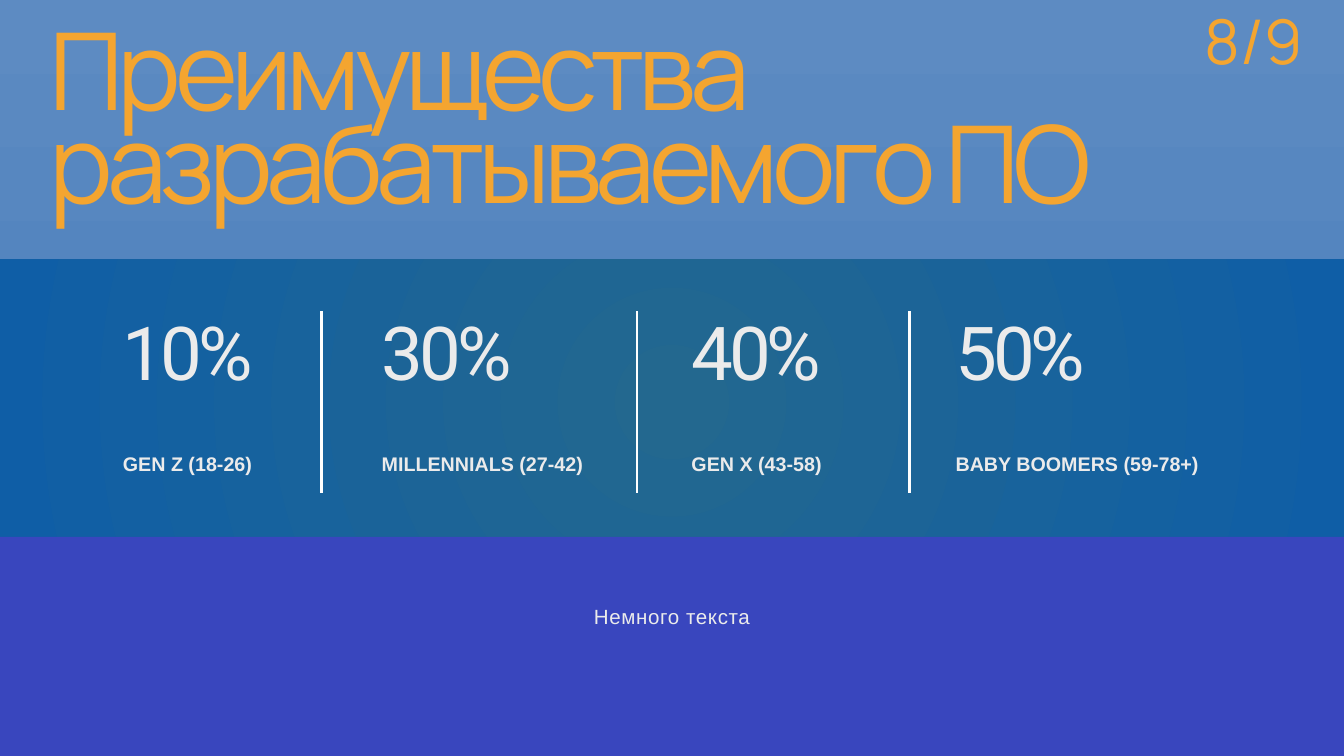
"""Build a slide of software benefits with four generation shares."""
from dataclasses import dataclass

import lxml.etree
import pptx
import pptx.dml.color
import pptx.enum.shapes
import pptx.enum.text
import pptx.oxml.ns
import pptx.util

PX = 9144
ALIGN = pptx.enum.text.PP_ALIGN
ORANGE, PALE, WHITE = "F4A530", "EBEBEB", "FFFFFF"
qn = pptx.oxml.ns.qn


@dataclass
class Style:
    """Look of one kind of text."""
    font: str
    size: float
    hue: str
    pitch: float | None = None
    gap: float = 0
    bold: bool = False
    align: ALIGN = ALIGN.LEFT


@dataclass
class Share:
    """Share of one generation, with the widths of its two texts."""
    left: int
    value: str
    label: str
    value_wide: int
    label_wide: int


TITLE = Style("Manrope", 115, ORANGE, 100.6, -6.5)
VALUE = Style("Roboto", 79.7, PALE, 67.7, -4.4)
LABEL = Style("Arial", 21.1, PALE, 27.5, bold=True)
NOTE = Style("Arial", 22, PALE, 33, 0.7, align=ALIGN.CENTER)
PAGE = Style("Manrope", 66, ORANGE, align=ALIGN.RIGHT)

SHARES = [
    Share(183, "10%", "GEN Z (18-26)", 281, 247),
    Share(568, "30%", "MILLENNIALS (27-42)", 299, 323),
    Share(1029, "40%", "GEN X (43-58)", 286, 254),
    Share(1422, "50%", "BABY BOOMERS (59-78+)", 294, 434),
]
RULES = [479, 948, 1353]


def px(*nums: int) -> list[pptx.util.Emu]:
    """Turn px into EMU."""
    return [pptx.util.Emu(num * PX) for num in nums]


def color(code: str) -> pptx.dml.color.RGBColor:
    """Turn a hex string into a colour."""
    return pptx.dml.color.RGBColor.from_string(code)


def blend(fill, root, stops: list[tuple[int, str]], round_: bool = False) -> None:
    """Give a fill a downward or a round gradient."""
    fill.gradient()
    grad = root.find(".//" + qn("a:gradFill"))
    for part in list(grad):
        grad.remove(part)
    row = lxml.etree.SubElement(grad, qn("a:gsLst"))
    for place, code in stops:
        stop = lxml.etree.SubElement(row, qn("a:gs"), pos=str(place * 1000))
        lxml.etree.SubElement(stop, qn("a:srgbClr"), val=code)
    if round_:
        way = lxml.etree.SubElement(grad, qn("a:path"))
        way.set("path", "circle")
        sides = dict.fromkeys("ltrb", "50000")
        lxml.etree.SubElement(way, qn("a:fillToRect"), sides)
    else:
        lxml.etree.SubElement(grad, qn("a:lin"), ang="5400000", scaled="0")


def add_band(slide, top: int, high: int):
    """Draw a band across the whole slide."""
    kind = pptx.enum.shapes.MSO_SHAPE.RECTANGLE
    band = slide.shapes.add_shape(kind, *px(0, top, 2000, high))
    band.shadow.inherit = False
    band.line.fill.background()
    return band


def add_text(slide, text: str, box: tuple[int, int, int, int], style: Style):
    """Write one paragraph in a box and return its frame."""
    frame = slide.shapes.add_textbox(*px(*box)).text_frame
    frame.word_wrap = True
    frame.text = text
    para = frame.paragraphs[0]
    para.alignment = style.align
    if style.pitch:
        para.line_spacing = pptx.util.Pt(style.pitch)
    run = para.runs[0]
    run.font.name = style.font
    run.font.size = pptx.util.Pt(style.size)
    run.font.bold = style.bold
    run.font.color.rgb = color(style.hue)
    if style.gap:
        run._r.get_or_add_rPr().set("spc", str(round(style.gap * 100)))
    return frame


def add_tight(slide, text: str, box: tuple[int, int, int, int], style: Style) -> None:
    """Write text in a box without margins that grows with it."""
    frame = add_text(slide, text, box, style)
    frame.margin_left = frame.margin_right = 0
    frame.margin_top = frame.margin_bottom = 0
    frame.auto_size = pptx.enum.text.MSO_AUTO_SIZE.SHAPE_TO_FIT_TEXT


def add_rule(slide, left: int) -> None:
    """Draw an upright line between two shares."""
    kind = pptx.enum.shapes.MSO_CONNECTOR.STRAIGHT
    rule = slide.shapes.add_connector(kind, *px(left, 463, left, 733))
    rule.line.color.rgb = color(WHITE)
    rule.line.width = pptx.util.Pt(3)
    lxml.etree.SubElement(rule._element.spPr, qn("a:effectLst"))


def main() -> None:
    """Build and save the slide."""
    deck = pptx.Presentation()
    deck.slide_width, deck.slide_height = px(2000, 1125)
    slide = deck.slides.add_slide(deck.slide_layouts[6])
    sky = [(0, "5D8BC2"), (39, "5485BF"), (82, "5D8BC2"), (100, "A3BDDD")]
    blend(slide.background.fill, slide.element, sky)

    add_tight(slide, "Преимущества разрабатываемого ПО", (74, 56, 1592, 290), TITLE)
    band = add_band(slide, 386, 425)
    blend(band.fill, band.element, [(0, "23688F"), (100, "0F5EA6")], True)
    foot = add_band(slide, 799, 326)
    foot.fill.solid()
    foot.fill.fore_color.rgb = color("3946BE")

    for share in SHARES:
        add_tight(slide, share.label, (share.left, 669, share.label_wide, 38), LABEL)
        add_tight(slide, share.value, (share.left, 494, share.value_wide, 128), VALUE)
    add_tight(slide, "Немного текста", (414, 890, 1172, 43), NOTE)
    for left in RULES:
        add_rule(slide, left)
    page = add_text(slide, "8/9", (1758, 45, 190, 28), PAGE)
    page.vertical_anchor = pptx.enum.text.MSO_ANCHOR.MIDDLE

    deck.save("out.pptx")


if __name__ == "__main__":
    main()
